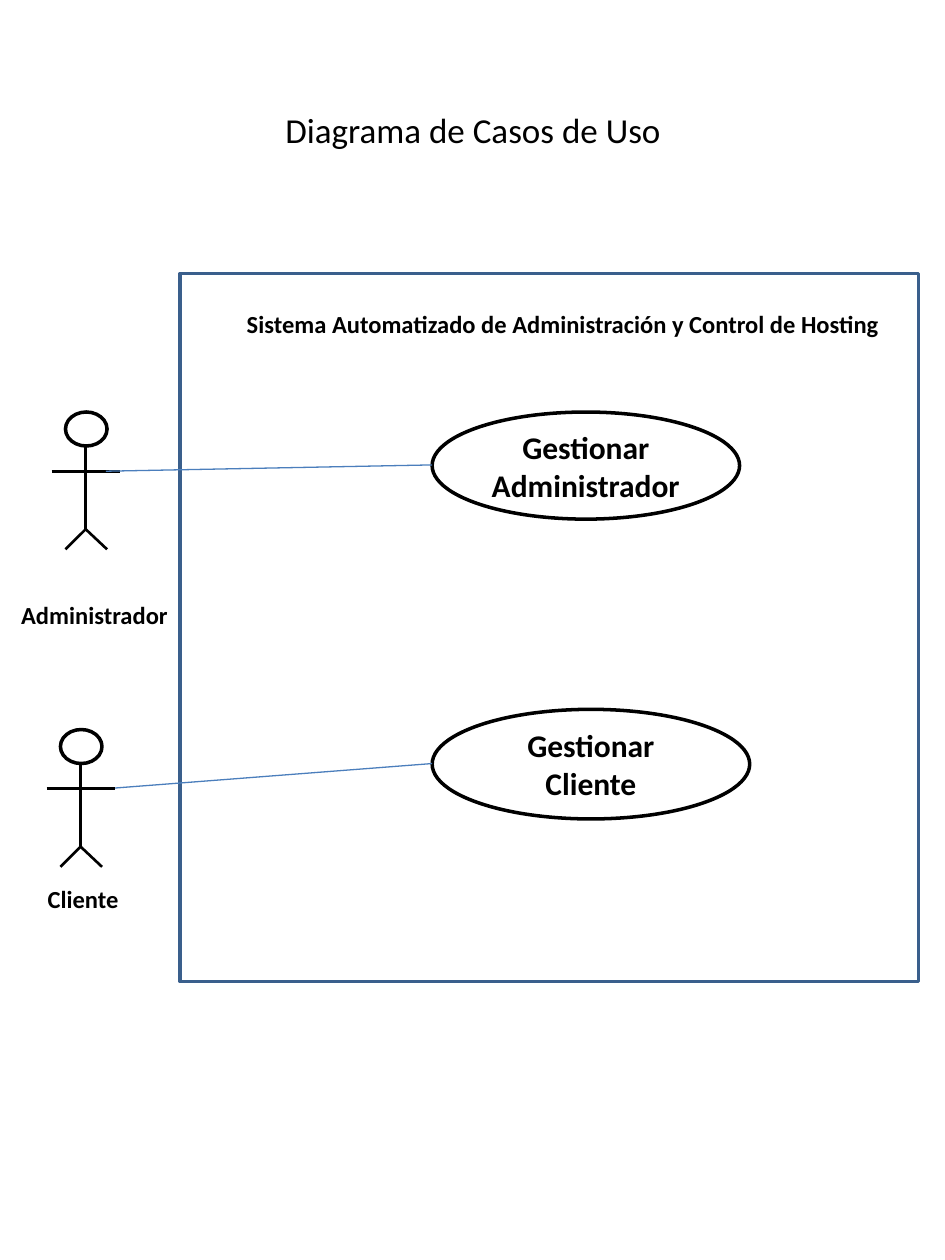
"""Builds a use case diagram slide with two actors."""
import pptx
import pptx.util
import pptx.dml.color
import pptx.enum.shapes
import pptx.enum.text
import pptx.oxml.ns
import lxml.etree

Inches = pptx.util.Inches
Pt = pptx.util.Pt
RGBColor = pptx.dml.color.RGBColor
Shape = pptx.enum.shapes.MSO_SHAPE
Align = pptx.enum.text.PP_ALIGN
Anchor = pptx.enum.text.MSO_ANCHOR

BLACK = RGBColor(0x00, 0x00, 0x00)
WHITE = RGBColor(0xFF, 0xFF, 0xFF)
NAVY = RGBColor(0x3A, 0x5F, 0x8C)
BLUE = RGBColor(0x4B, 0x7E, 0xBC)


class Diagram:
    """Holds the style and the current slide."""

    def __init__(self, deck, font="Calibri"):
        """Adds a title slide without its subtitle."""
        self.font = font
        self.slide = deck.slides.add_slide(deck.slide_layouts[0])
        self.shapes = self.slide.shapes
        sub = self.slide.placeholders[1].element
        sub.getparent().remove(sub)

    def letter(self, shape, text, size, bold=True, align=Align.CENTER):
        """Sets the text of a shape and formats it."""
        frame = shape.text_frame
        frame.text = text
        for para in frame.paragraphs:
            para.alignment = align
            for run in para.runs:
                run.font.name = self.font
                run.font.size = Pt(size)
                run.font.bold = bold
                run.font.color.rgb = BLACK

    def title(self, text, *box):
        """Moves and fills the title placeholder."""
        title = self.shapes.title
        title.left, title.top, title.width, title.height = map(Inches, box)
        title.text_frame.vertical_anchor = Anchor.MIDDLE
        self.letter(title, text, 20, bold=False)

    def label(self, text, *box, wrap=True, align=Align.CENTER):
        """Adds a bold text box."""
        label = self.shapes.add_textbox(*map(Inches, box))
        label.text_frame.word_wrap = wrap
        self.letter(label, text, 14, align=align)

    def outline(self, kind, *box, color=BLACK, fill=WHITE, home=None):
        """Adds a preset shape with a two point outline."""
        shape = (home or self.shapes).add_shape(kind, *map(Inches, box))
        shape.shadow.inherit = False
        if fill is None:
            shape.fill.background()
        else:
            shape.fill.solid()
            shape.fill.fore_color.rgb = fill
        shape.line.color.rgb = color
        shape.line.width = Pt(2)
        return shape

    def case(self, text, *box):
        """Adds a use case ellipse."""
        oval = self.outline(Shape.OVAL, *box)
        oval.text_frame.word_wrap = True
        oval.text_frame.vertical_anchor = Anchor.MIDDLE
        self.letter(oval, text, 18)

    def line(self, *ends, color=BLUE, width=0.75, home=None):
        """Adds a straight line from one point to another."""
        line = (home or self.shapes).add_connector(
            pptx.enum.shapes.MSO_CONNECTOR.STRAIGHT, *map(Inches, ends))
        line.line.color.rgb = color
        line.line.width = Pt(width)
        props = line.element.find(pptx.oxml.ns.qn("p:spPr"))
        lxml.etree.SubElement(props, pptx.oxml.ns.qn("a:effectLst"))

    def actor(self, mid, top):
        """Adds a grouped stick figure."""
        home = self.shapes.add_group_shape().shapes
        neck, arms, hip, feet = (top + drop for drop in (0.27, 0.47, 0.93, 1.09))
        left, right = mid - 0.16, mid + 0.17
        self.outline(Shape.OVAL, left, top, 0.33, 0.27, home=home)
        limbs = [
            (mid, neck, mid, hip),
            (mid, hip, left, feet),
            (mid, hip, right, feet),
            (mid - 0.27, arms, mid + 0.27, arms),
        ]
        for limb in limbs:
            self.line(*limb, color=BLACK, width=1.5, home=home)


deck = pptx.Presentation()
deck.slide_width = Inches(7.5)
deck.slide_height = Inches(10)

page = Diagram(deck)
page.title("Diagrama de Casos de Uso", 1.43, 0.67, 4.65, 0.71)
page.label("Administrador", -0.03, 4.71, 1.56, 0.34)
page.actor(0.68, 3.27)
page.outline(Shape.RECTANGLE, 1.43, 2.17, 5.86, 5.62, color=NAVY, fill=None)
page.label("Sistema Automatizado de Administración y Control de Hosting",
           1.86, 2.4, 5.26, 0.34, wrap=False, align=Align.LEFT)
page.case("Gestionar Administrador", 3.43, 3.27, 2.44, 0.85)
page.case("Gestionar Cliente", 3.43, 5.63, 2.52, 0.87)
page.line(0.84, 3.74, 3.43, 3.69)
page.line(0.84, 6.26, 3.43, 6.06)
page.actor(0.64, 5.79)
page.label("Cliente", -0.12, 6.97, 1.56, 0.34)

deck.save("out.pptx")
